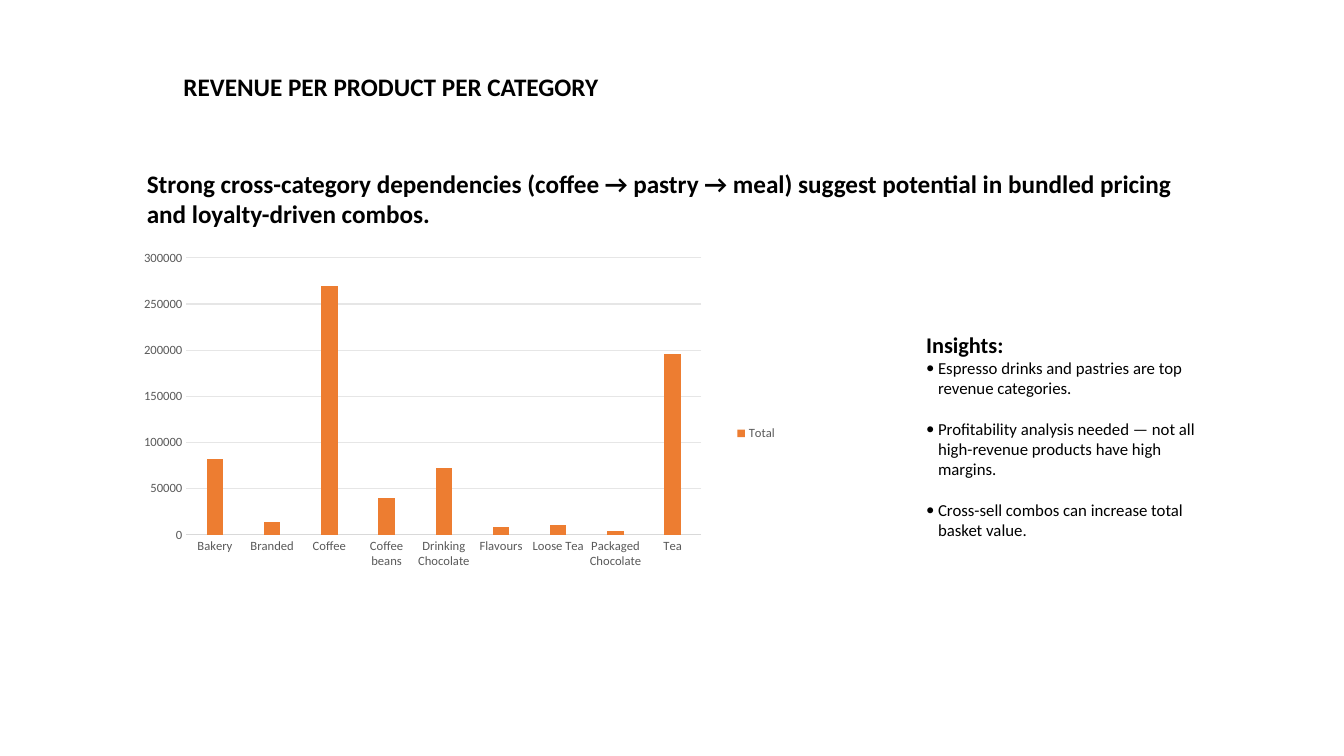
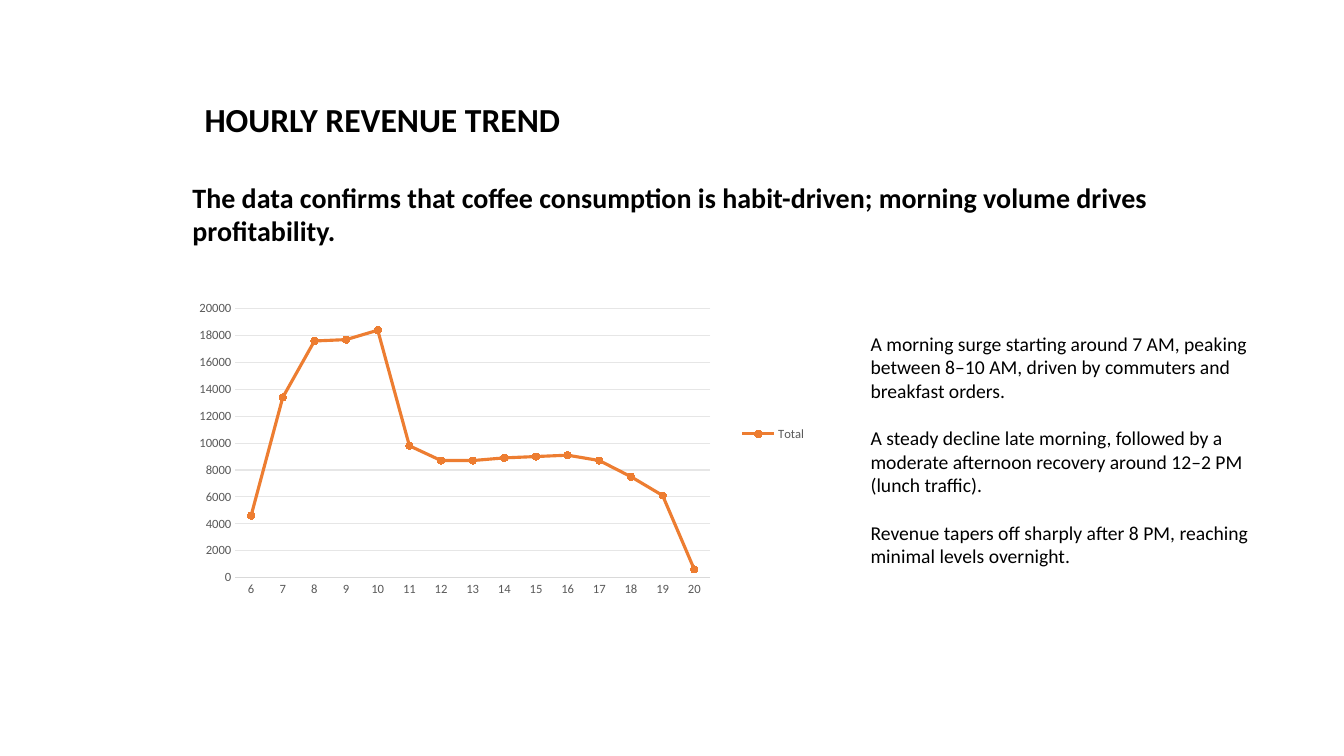
"""Build two revenue slides: products by category and the hourly trend."""
from dataclasses import dataclass

from lxml import etree
from pptx import Presentation
from pptx.chart.data import CategoryChartData
from pptx.dml.color import RGBColor
from pptx.enum.chart import XL_CHART_TYPE, XL_LEGEND_POSITION, XL_MARKER_STYLE, XL_TICK_MARK
from pptx.enum.text import MSO_ANCHOR, MSO_AUTO_SIZE, PP_ALIGN
from pptx.oxml.ns import qn
from pptx.util import Cm, Pt

COLUMN = XL_CHART_TYPE.COLUMN_CLUSTERED
LINE = XL_CHART_TYPE.LINE_MARKERS_STACKED
LEGEND_RIGHT = XL_LEGEND_POSITION.RIGHT
CIRCLE = XL_MARKER_STYLE.CIRCLE
NO_TICK = XL_TICK_MARK.NONE
TOP = MSO_ANCHOR.TOP
NO_FIT = MSO_AUTO_SIZE.NONE
LEFT = PP_ALIGN.LEFT
TITLE_ONLY = 5


@dataclass(frozen=True)
class Theme:
    """Colours, font and type sizes shared by the slides."""
    font: str = "Calibri"
    text: RGBColor = RGBColor(0x00, 0x00, 0x00)
    chart_text: RGBColor = RGBColor(0x59, 0x59, 0x59)
    axis: RGBColor = RGBColor(0xD9, 0xD9, 0xD9)
    grid: RGBColor = RGBColor(0xE6, 0xE6, 0xE6)
    accent: RGBColor = RGBColor(0xED, 0x7D, 0x31)
    title_large: int = 24
    message_large: int = 20
    heading: int = 18
    subheading: int = 16
    body_large: int = 14
    body: int = 12
    chart: int = 9
    hairline: float = 0.75
    line_height: float = 1.22


THEME = Theme()

CATEGORY_REVENUE = {
    "Bakery": 82000, "Branded": 14000, "Coffee": 270000,
    "Coffee beans": 40000, "Drinking Chocolate": 72000, "Flavours": 8000,
    "Loose Tea": 11000, "Packaged Chocolate": 4000, "Tea": 196000,
}
FIRST_HOUR = 6
HOURLY_REVENUE = [4600, 13400, 17600, 17700, 18400, 9800, 8700, 8700,
                  8900, 9000, 9100, 8700, 7500, 6100, 600]


def style_font(font, size, color=THEME.text, bold=False):
    """Apply the theme font with a size, colour and weight."""
    font.name = THEME.font
    font.size = Pt(size)
    font.bold = bold
    font.color.rgb = color


def set_title(s, text, size, box):
    """Place and format the title placeholder."""
    title = s.shapes.title
    title.left, title.top, title.width, title.height = map(Cm, box)
    tf = title.text_frame
    tf.text = text
    tf.auto_size = NO_FIT
    tf.vertical_anchor = TOP
    p = tf.paragraphs[0]
    p.alignment = LEFT
    style_font(p.runs[0].font, size, bold=True)


def add_text(s, paragraphs, size, box, bold=False):
    """Add a wrapped text box with one line of space between paragraphs."""
    tf = s.shapes.add_textbox(*map(Cm, box)).text_frame
    tf.word_wrap = True
    for i, text in enumerate(paragraphs):
        p = tf.add_paragraph() if i else tf.paragraphs[0]
        p.text = text
        if i:
            p.space_before = Pt(round(size * THEME.line_height, 1))
        style_font(p.runs[0].font, size, bold=bold)
    return tf


def add_bullet(p, indent=0.3):
    """Give a paragraph a round bullet with a hanging indent."""
    pPr = p._p.get_or_add_pPr()
    pPr.set("marL", str(Cm(indent)))
    pPr.set("indent", str(-Cm(indent)))
    etree.SubElement(pPr, qn("a:buFont")).set("typeface", THEME.font)
    etree.SubElement(pPr, qn("a:buChar")).set("char", "•")


def add_insights(s, heading, points, box):
    """Add a bold heading directly followed by spaced bullet points."""
    tf = add_text(s, [heading, *points], THEME.body, box)
    head, first, *_ = tf.paragraphs
    style_font(head.runs[0].font, THEME.subheading, bold=True)
    first.space_before = Pt(0)
    for p in tf.paragraphs[1:]:
        add_bullet(p)


def set_plot_area(chart, area):
    """Fix the inner plot area as fractions of the chart."""
    plot_area = chart._chartSpace.chart.plotArea
    for old in plot_area.findall(qn("c:layout")):
        plot_area.remove(old)
    layout = etree.Element(qn("c:layout"))
    manual = etree.SubElement(layout, qn("c:manualLayout"))
    settings = [("layoutTarget", "inner"), ("xMode", "edge"), ("yMode", "edge"),
                *zip("xywh", area)]
    for tag, value in settings:
        etree.SubElement(manual, qn(f"c:{tag}")).set("val", str(value))
    plot_area.insert(0, layout)


def style_axes(chart, maximum, step):
    """Format the category axis, value axis and gridlines."""
    for axis in (chart.category_axis, chart.value_axis):
        axis.major_tick_mark = axis.minor_tick_mark = NO_TICK
        style_font(axis.tick_labels.font, THEME.chart, THEME.chart_text)
    values = chart.value_axis
    values.minimum_scale, values.maximum_scale = 0, maximum
    values.major_unit = step
    values.has_major_gridlines = True
    values.format.line.fill.background()
    for line, color in ((chart.category_axis.format.line, THEME.axis),
                        (values.major_gridlines.format.line, THEME.grid)):
        line.color.rgb = color
        line.width = Pt(THEME.hairline)


def add_revenue_chart(s, kind, categories, revenue, box, area, maximum, step):
    """Add a chart of total revenue with a legend on the right."""
    data = CategoryChartData()
    data.categories = categories
    data.add_series("Total", revenue)
    chart = s.shapes.add_chart(kind, *map(Cm, box), data).chart
    chart.has_title = False
    style_font(chart.font, THEME.chart, THEME.chart_text)
    chart.has_legend = True
    chart.legend.position = LEGEND_RIGHT
    chart.legend.include_in_layout = False
    style_font(chart.legend.font, THEME.chart, THEME.chart_text)
    style_axes(chart, maximum, step)
    set_plot_area(chart, area)
    plot = chart.plots[0]
    plot.vary_by_categories = False
    return plot


def style_columns(plot):
    """Colour the columns and set their spacing."""
    plot.gap_width, plot.overlap = 246, -28
    fill = plot.series[0].format.fill
    fill.solid()
    fill.fore_color.rgb = THEME.accent


def style_line(plot):
    """Colour the line and its round markers."""
    series = plot.series[0]
    series.smooth = False
    series.format.line.color.rgb = THEME.accent
    series.format.line.width = Pt(2.25)
    marker = series.marker
    marker.style, marker.size = CIRCLE, 5
    marker.format.fill.solid()
    marker.format.fill.fore_color.rgb = THEME.accent
    marker.format.line.color.rgb = THEME.accent


def build_category_slide(s):
    """Show revenue by product category."""
    set_title(s, "REVENUE PER PRODUCT PER CATEGORY", THEME.heading,
              (4.37, 1.68, 11.28, 1.02))
    plot = add_revenue_chart(s, COLUMN, list(CATEGORY_REVENUE), list(CATEGORY_REVENUE.values()),
                             (2.92, 5.94, 16.92, 9.96), (0.105, 0.056, 0.767, 0.701),
                             300000, 50000)
    style_columns(plot)
    add_insights(s, "Insights:", [
        "Espresso drinks and pastries are top revenue categories.",
        "Profitability analysis needed — not all high-revenue products have high margins.",
        "Cross-sell combos can increase total basket value.",
    ], (23.09, 8.22, 7.62, 5.7))
    add_text(s, ["Strong cross-category dependencies (coffee → pastry → meal) suggest "
                 "potential in bundled pricing and loyalty-driven combos."],
             THEME.heading, (3.45, 4.11, 26.67, 1.8), bold=True)


def build_hourly_slide(s):
    """Show revenue by hour of the day."""
    set_title(s, "HOURLY REVENUE TREND", THEME.title_large, (4.9, 2.36, 11.28, 1.09))
    hours = [str(FIRST_HOUR + i) for i in range(len(HOURLY_REVENUE))]
    plot = add_revenue_chart(s, LINE, hours, HOURLY_REVENUE,
                             (4.32, 6.17, 16.26, 9.53), (0.099, 0.169, 0.736, 0.711),
                             20000, 2000)
    style_line(plot)
    add_text(s, [
        "A morning surge starting around 7 AM, peaking between 8–10 AM, "
        "driven by commuters and breakfast orders.",
        "A steady decline late morning, followed by a moderate afternoon recovery "
        "around 12–2 PM (lunch traffic).",
        "Revenue tapers off sharply after 8 PM, reaching minimal levels overnight.",
    ], THEME.body_large, (21.69, 8.23, 10.64, 7.82))
    add_text(s, ["The data confirms that coffee consumption is habit-driven; "
                 "morning volume drives profitability."],
             THEME.message_large, (4.6, 4.42, 25.43, 1.96), bold=True)


def main():
    """Create and save the presentation."""
    prs = Presentation()
    prs.slide_width, prs.slide_height = Cm(33.87), Cm(19.05)
    for build in (build_category_slide, build_hourly_slide):
        build(prs.slides.add_slide(prs.slide_layouts[TITLE_ONLY]))
    prs.save("out.pptx")


if __name__ == "__main__":
    main()
